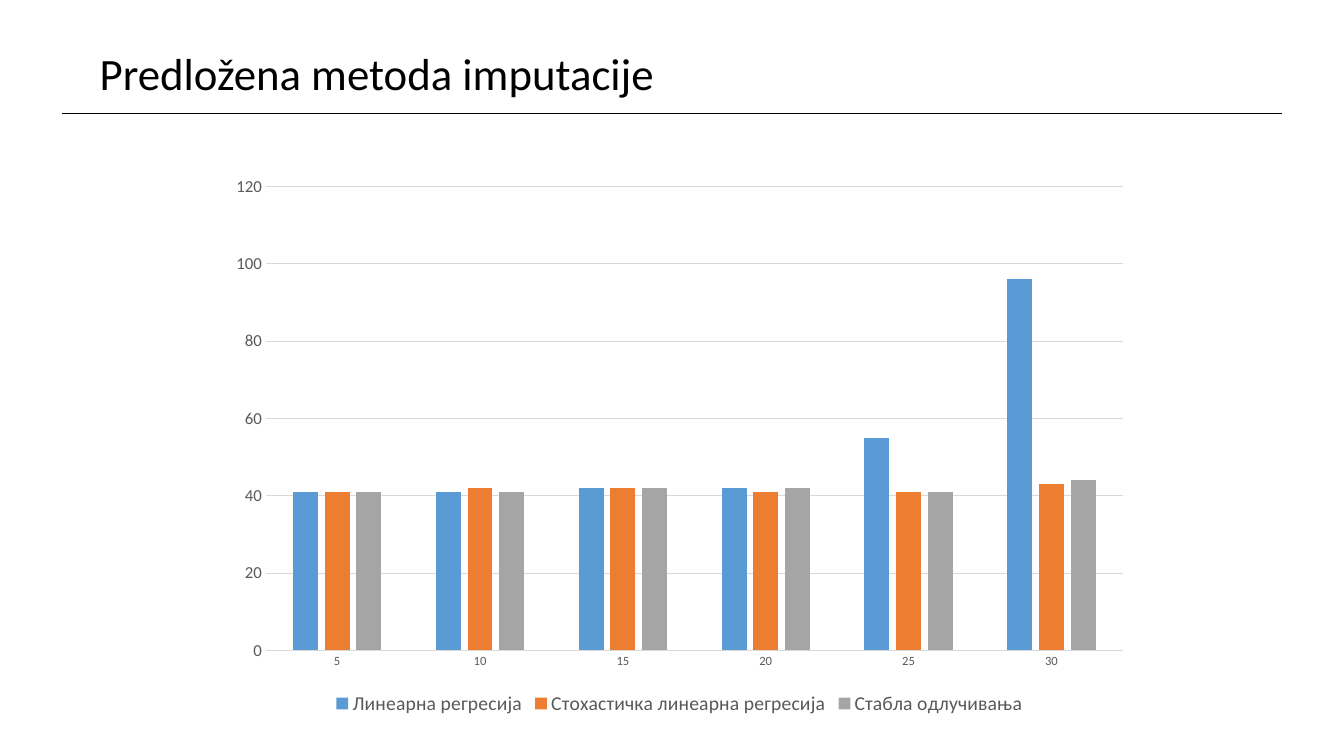
from lxml import etree
from pptx import Presentation
from pptx import util as u
from pptx.chart.data import CategoryChartData
from pptx.dml.color import RGBColor
from pptx.enum import chart as ch
from pptx.enum import shapes, text
from pptx.oxml import ns

FONT = "Calibri"
COLORS = {
    "black": "000000",
    "label": "595959",
    "grid": "D9D9D9",
    "blue": "5B9BD5",
    "orange": "ED7D31",
    "gray": "A5A5A5",
}
CATEGORIES = ["5", "10", "15", "20", "25", "30"]
SERIES = [
    ("Линеарна регресија", (41, 41, 42, 42, 55, 96), "blue"),
    ("Стохастичка линеарна регресија", (41, 42, 42, 41, 41, 43), "orange"),
    ("Стабла одлучивања", (41, 41, 42, 42, 41, 44), "gray"),
]


def color(name):
    return RGBColor.from_string(COLORS[name])


def style_font(font, size, color_name):
    font.name = FONT
    font.size = u.Pt(size)
    font.color.rgb = color(color_name)


def style_line(line, width, color_name):
    line.color.rgb = color(color_name)
    line.width = u.Pt(width)


def add_title(slide, title):
    box = slide.shapes.add_textbox(
        u.Inches(0.89), u.Inches(0.4), u.Inches(11.71), u.Inches(0.64))
    frame = box.text_frame
    frame.word_wrap = True
    frame.auto_size = text.MSO_AUTO_SIZE.SHAPE_TO_FIT_TEXT
    paragraph = frame.paragraphs[0]
    paragraph.text = title
    style_font(paragraph.font, 32, "black")


def add_rule(slide, left, right, top):
    rule = slide.shapes.add_connector(
        shapes.MSO_CONNECTOR.STRAIGHT,
        u.Inches(left), u.Inches(top), u.Inches(right), u.Inches(top))
    style_line(rule.line, 0.5, "black")
    etree.SubElement(rule.element.spPr, ns.qn("a:effectLst"))


def style_axes(chart):
    category_axis, value_axis = chart.category_axis, chart.value_axis
    for axis, size in ((category_axis, 9), (value_axis, 12)):
        axis.major_tick_mark = axis.minor_tick_mark = ch.XL_TICK_MARK.NONE
        style_font(axis.tick_labels.font, size, "label")
    style_line(category_axis.format.line, 0.75, "grid")
    value_axis.format.line.fill.background()
    value_axis.minimum_scale = 0
    value_axis.maximum_scale = 120
    value_axis.major_unit = 20
    value_axis.has_major_gridlines = True
    style_line(value_axis.major_gridlines.format.line, 0.75, "grid")


def add_column_chart(slide):
    data = CategoryChartData()
    data.categories = CATEGORIES
    for name, values, _ in SERIES:
        data.add_series(name, values)
    chart = slide.shapes.add_chart(
        ch.XL_CHART_TYPE.COLUMN_CLUSTERED,
        u.Inches(2.16), u.Inches(1.64), u.Inches(9.16), u.Inches(5.5), data).chart
    chart.has_title = False
    style_font(chart.font, 10, "black")
    style_axes(chart)

    plot = chart.plots[0]
    plot.gap_width = 219
    plot.overlap = -27
    plot.vary_by_categories = False
    for series, (_, _, color_name) in zip(plot.series, SERIES):
        series.format.fill.solid()
        series.format.fill.fore_color.rgb = color(color_name)

    chart.has_legend = True
    chart.legend.position = ch.XL_LEGEND_POSITION.BOTTOM
    chart.legend.include_in_layout = False
    style_font(chart.legend.font, 14, "label")


def main():
    presentation = Presentation()
    presentation.slide_width = u.Inches(13.33)
    presentation.slide_height = u.Inches(7.5)
    slide = presentation.slides.add_slide(presentation.slide_layouts[6])
    add_rule(slide, 0.62, 12.72, 1.12)
    add_title(slide, "Predložena metoda imputacije")
    add_column_chart(slide)
    presentation.save("out.pptx")


if __name__ == "__main__":
    main()
